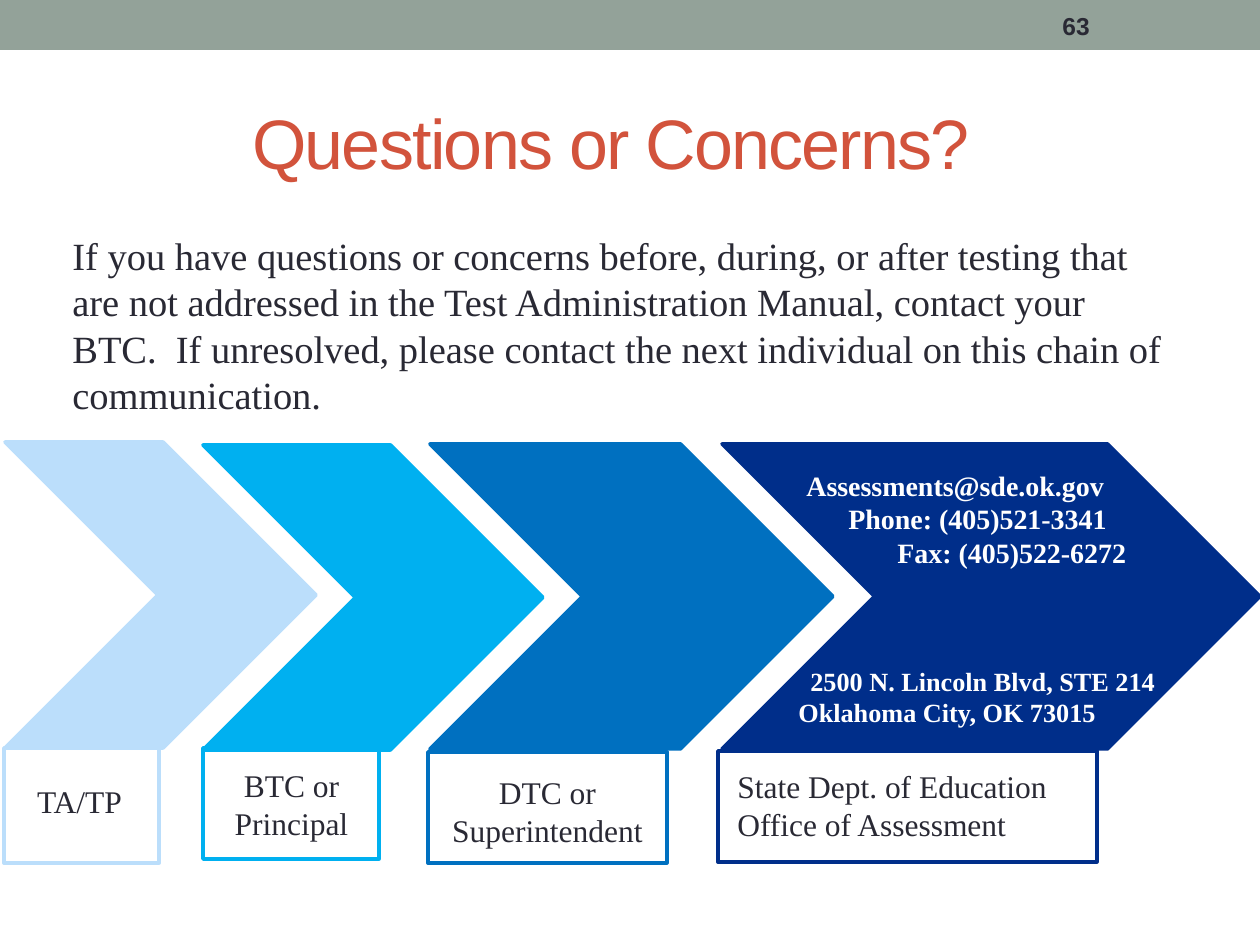
from pptx import Presentation
from pptx.dml.color import RGBColor
from pptx.enum.shapes import MSO_SHAPE as SHAPE
from pptx.enum.text import MSO_ANCHOR as ANCHOR, PP_ALIGN as ALIGN
from pptx.util import Emu, Pt

SERIF, SANS = "Times New Roman", "Arial"
INK, WHITE, SAGE, RUST = "292934", "FFFFFF", "93A299", "D2533C"

# colour, chevron box, label frame, label text box, label, alignment
CHAIN = [
    ("BBDEFB", (5, 442, 311, 306), (4, 748, 155, 115), (0, 776, 159, 50),
     "TA/TP", ALIGN.CENTER),
    ("00B0F0", (203, 445, 340, 305), (203, 748, 176, 111), (176, 760, 231, 89),
     "BTC or Principal", ALIGN.CENTER),
    ("0070C0", (430, 444, 403, 305), (428, 752, 239, 111), (423, 767, 249, 89),
     "DTC or Superintendent", ALIGN.CENTER),
    ("002E8A", (722, 444, 538, 305), (718, 751, 379, 111), (725, 761, 391, 89),
     "State Dept. of Education Office of Assessment", ALIGN.LEFT),
]


def px(n):
    return Emu(round(n * 914400 / 126))


def rgb(color):
    return RGBColor.from_string(color)


class Deck:
    def __init__(self):
        self.prs = Presentation()
        self.prs.slide_width, self.prs.slide_height = px(1260), px(945)
        self.s = self.prs.slides.add_slide(self.prs.slide_layouts[6])

    def shape(self, kind, box, fill=None, line=None):
        sp = self.s.shapes.add_shape(kind, *map(px, box))
        sp.shadow.inherit = False
        if fill:
            sp.fill.solid()
            sp.fill.fore_color.rgb = rgb(fill)
        else:
            sp.fill.background()
        if line:
            sp.line.color.rgb = rgb(line)
            sp.line.width = Pt(2.08)
        else:
            sp.line.fill.background()

    def text(self, box, lines, size, color=INK, font=SERIF, bold=False,
             align=ALIGN.LEFT, anchor=ANCHOR.TOP, tracking=None):
        """Add a text box; lines is a list of (text, left indent) pairs."""
        tf = self.s.shapes.add_textbox(*map(px, box)).text_frame
        tf.word_wrap = True
        tf.vertical_anchor = anchor
        for i, (words, indent) in enumerate(lines):
            p = tf.add_paragraph() if i else tf.paragraphs[0]
            r = p.add_run()
            r.text = words
            if tracking:
                r.font._element.set("spc", str(tracking))
            if indent:
                p._p.get_or_add_pPr().set("marL", str(px(indent)))
            p.alignment = align
            p.font.name, p.font.size, p.font.bold = font, Pt(size), bold
            p.font.color.rgb = rgb(color)


def main():
    d = Deck()
    d.shape(SHAPE.RECTANGLE, (0, 0, 1260, 50), fill=SAGE)
    d.text((1050, 3, 147, 45), [("63", 0)], 14, font=SANS, bold=True,
           anchor=ANCHOR.MIDDLE)
    d.text((63, 73, 1096, 136), [("Questions or Concerns?", 0)], 40, RUST, SANS,
           align=ALIGN.CENTER, anchor=ANCHOR.MIDDLE, tracking=-100)
    d.text((60, 226, 1115, 199), [(
        "If you have questions or concerns before, during, or after testing "
        "that are not addressed in the Test Administration Manual, contact "
        "your BTC.  If unresolved, please contact the next individual on this "
        "chain of communication.", 0)], 22)

    for color, chevron, frame, label_box, label, align in CHAIN:
        d.shape(SHAPE.CHEVRON, chevron, fill=color, line=color)
        d.shape(SHAPE.RECTANGLE, frame, line=color)
        d.text(label_box, [(label, 0)], 18, align=align)

    d.text((794, 462, 447, 115), [
        ("Assessments@sde.ok.gov", 0),
        ("Phone: (405)521-3341", 42),
        ("Fax: (405)522-6272", 91),
    ], 16, WHITE, bold=True)
    d.text((767, 659, 430, 80), [
        ("2500 N. Lincoln Blvd, STE 214", 31),
        ("Oklahoma City, OK 73015", 19),
    ], 15, WHITE, bold=True)
    d.prs.save("out.pptx")


if __name__ == "__main__":
    main()
